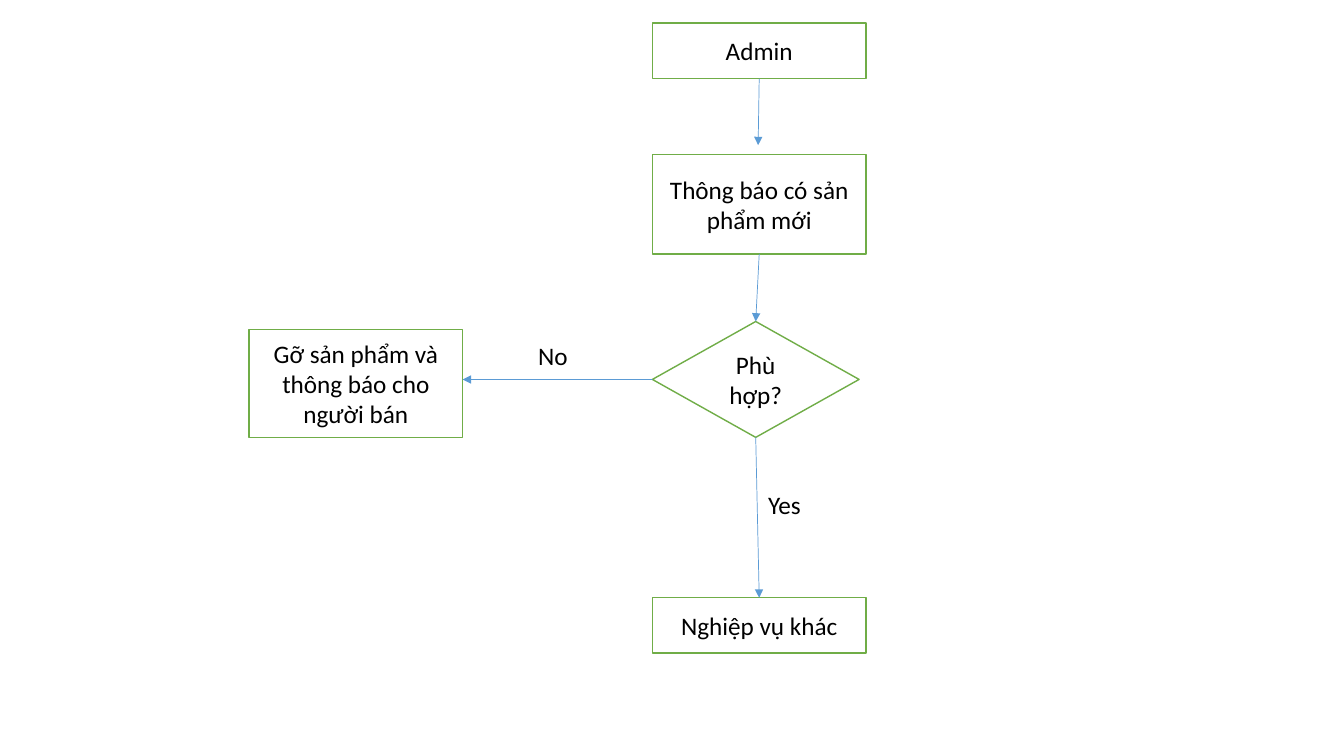
from lxml.etree import SubElement
from pptx import Presentation
from pptx.dml.color import RGBColor
from pptx.enum.shapes import MSO_CONNECTOR, MSO_SHAPE
from pptx.enum.text import MSO_ANCHOR, MSO_AUTO_SIZE, PP_ALIGN
from pptx.oxml.ns import qn
from pptx.util import Inches, Pt

WHITE = RGBColor(0xFF, 0xFF, 0xFF)
BLACK = RGBColor(0x00, 0x00, 0x00)
GREEN = RGBColor(0x70, 0xAD, 0x47)
BLUE = RGBColor(0x5B, 0x9B, 0xD5)

deck = Presentation()
deck.slide_width, deck.slide_height = Inches(13.33), Inches(7.5)
page = deck.slides.add_slide(deck.slide_layouts[6])

# All lengths are percentages of the slide's width and height.
ACROSS, DOWN = deck.slide_width / 100, deck.slide_height / 100
MAIN_LEFT, SIDE_LEFT = 48.54, 18.53
BOX_WIDTH, DECISION_WIDTH = 15.9, 15.38
BAR_HEIGHT = 7.33
LABEL_HEIGHT = 5.33


def write(box, text, align=PP_ALIGN.LEFT, anchor=MSO_ANCHOR.TOP, wrap=True,
          size=18, color=BLACK, name="Calibri"):
    frame = box.text_frame
    frame.word_wrap = wrap
    frame.vertical_anchor = anchor
    para = frame.paragraphs[0]
    para.alignment = align
    span = para.add_run()
    span.text = text
    span.font.size, span.font.name = Pt(size), name
    span.font.color.rgb = color


# Steps of the flow
steps = {}
for key, kind, left, top, width, height, text in [
    ("admin", MSO_SHAPE.RECTANGLE, MAIN_LEFT, 3.07, BOX_WIDTH, BAR_HEIGHT, "Admin"),
    ("notice", MSO_SHAPE.RECTANGLE, MAIN_LEFT, 20.4, BOX_WIDTH, 13.2,
     "Thông báo có sản phẩm mới"),
    ("decision", MSO_SHAPE.FLOWCHART_DECISION, MAIN_LEFT, 42.53, DECISION_WIDTH, 15.33,
     "Phù hợp?"),
    ("other", MSO_SHAPE.RECTANGLE, MAIN_LEFT, 79.07, BOX_WIDTH, BAR_HEIGHT,
     "Nghiệp vụ khác"),
    ("removal", MSO_SHAPE.RECTANGLE, SIDE_LEFT, 43.6, BOX_WIDTH, 14.27,
     "Gỡ sản phẩm và thông báo cho người bán"),
]:
    box = page.shapes.add_shape(kind, round(left * ACROSS), round(top * DOWN),
                                round(width * ACROSS), round(height * DOWN))
    box.shadow.inherit = False
    box.fill.solid()
    box.fill.fore_color.rgb = WHITE
    box.line.color.rgb = GREEN
    box.line.width = Pt(1)
    write(box, text, align=PP_ALIGN.CENTER, anchor=MSO_ANCHOR.MIDDLE)
    steps[key] = box

# Arrows: start step and side, then either a target step or a free end point
TOP, LEFT, BOTTOM = 0, 1, 2
for start, side, target, end_x, end_y in [
    ("admin", BOTTOM, None, 56.41, 19.2),
    ("notice", BOTTOM, "decision", 0, 0),
    ("decision", BOTTOM, "other", 0, 0),
    ("decision", LEFT, None, SIDE_LEFT + BOX_WIDTH, 50.2),
]:
    arrow = page.shapes.add_connector(MSO_CONNECTOR.STRAIGHT, 0, 0,
                                      round(end_x * ACROSS), round(end_y * DOWN))
    arrow.begin_connect(steps[start], side)
    if target:
        arrow.end_connect(steps[target], TOP)
    arrow.line.color.rgb = BLUE
    arrow.line.width = Pt(0.5)
    SubElement(arrow.line._get_or_add_ln(), qn("a:tailEnd"), type="triangle")
    SubElement(arrow._element.spPr, qn("a:effectLst"))

# Answers beside the decision's arrows
for text, left, top, width in [("Yes", 56.41, 64, 4.5), ("No", 39.31, 44.4, 3.75)]:
    label = page.shapes.add_textbox(round(left * ACROSS), round(top * DOWN),
                                    round(width * ACROSS), round(LABEL_HEIGHT * DOWN))
    write(label, text, wrap=False)
    label.text_frame.auto_size = MSO_AUTO_SIZE.SHAPE_TO_FIT_TEXT

deck.save("out.pptx")
